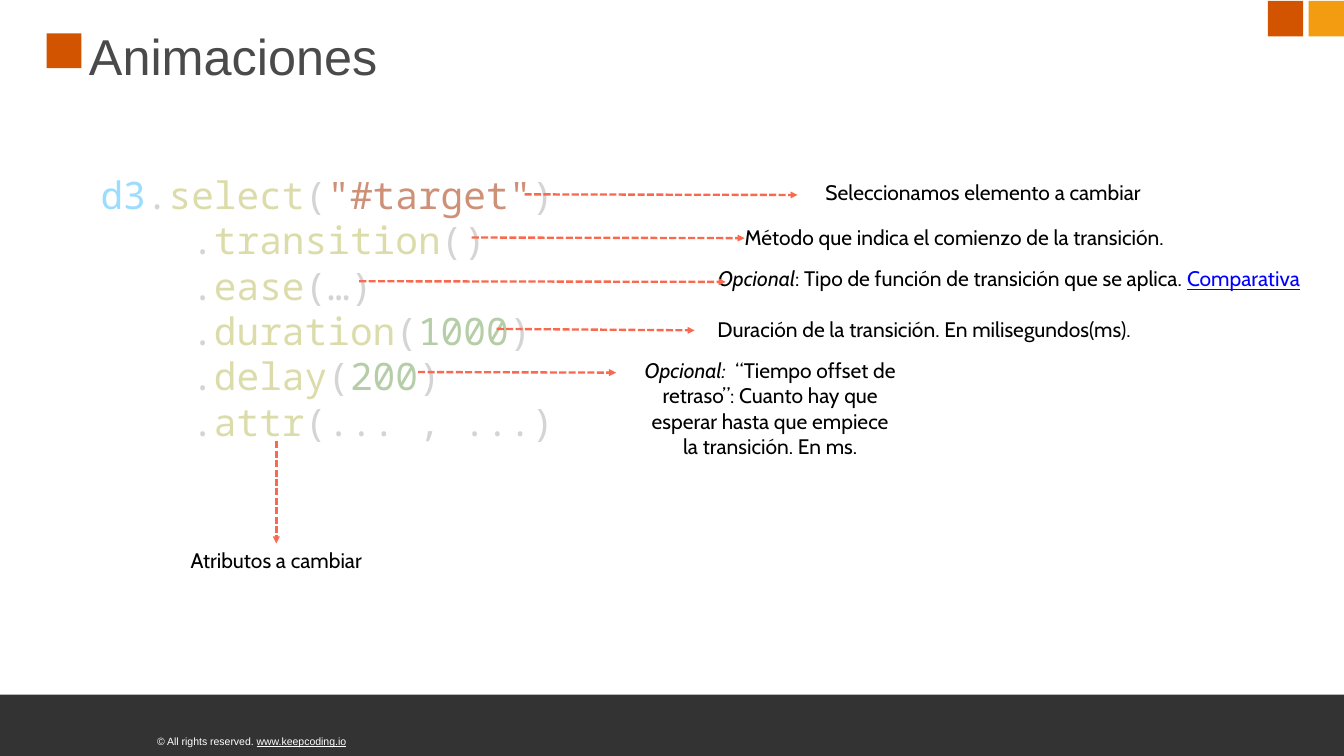
import pptx
import pptx.util
import pptx.dml.color
import pptx.enum.dml
import pptx.enum.shapes
import pptx.enum.text
import lxml.etree
import pptx.oxml.ns

Cm, Pt = pptx.util.Cm, pptx.util.Pt
RGB = pptx.dml.color.RGBColor
ALIGN = pptx.enum.text.PP_ALIGN
ANCHOR = pptx.enum.text.MSO_ANCHOR
NOFIT = pptx.enum.text.MSO_AUTO_SIZE.NONE

RUST = RGB(0xD3, 0x54, 0x00)
AMBER = RGB(0xF3, 0x9C, 0x12)
DARK = RGB(0x33, 0x33, 0x33)
GREY = RGB(0x4A, 0x4A, 0x4A)
CORAL = RGB(0xFA, 0x69, 0x4E)
BLACK = RGB(0, 0, 0)
WHITE = RGB(0xFF, 0xFF, 0xFF)
BLUE = RGB(0, 0, 0xFF)
NAME = RGB(0x9C, 0xDC, 0xFE)
PLAIN = RGB(0xD4, 0xD4, 0xD4)
CALL = RGB(0xDC, 0xDC, 0xAA)
QUOTE = RGB(0xCE, 0x91, 0x78)
NUM = RGB(0xB5, 0xCE, 0xA8)

# Content: a run is (text, format), a paragraph is a list of runs
TITLE = "Animaciones"
FOOT = [("© All rights reserved. ", {}), ("www.keepcoding.io", {"under": True})]

HEAD = [("d3", NAME), (".", PLAIN), ("select", CALL), ("(", PLAIN),
        ('"#target"', QUOTE), (")", PLAIN)]
CALLS = [  # method, then its arguments
    ("transition", [("()", PLAIN)]),
    ("ease", [("(…)", PLAIN)]),
    ("duration", [("(", PLAIN), ("1000", NUM), (")", PLAIN)]),
    ("delay", [("(", PLAIN), ("200", NUM), (")", PLAIN)]),
    ("attr", [("(... , ...)", PLAIN)]),
]

WIDE, ROW = 28.73, 1.14
ITAL, LINK = {"ital": True}, {"color": BLUE, "under": True}
NOTES = [  # runs, left, top, width, height, indent, arrow from, arrow to
    ([("Seleccionamos elemento a cambiar", {})],
     18.67, 5.87, WIDE, ROW, 0, (17.63, 6.53), (26.8, 6.55)),
    ([("Método que indica el comienzo de la transición.", {})],
     16.28, 7.39, WIDE, ROW, 2.84, (15.85, 7.98), (25.02, 8)),
    ([("Opcional", ITAL),
      (": Tipo de función de transición que se aplica. ", {}),
      ("Comparativa", LINK)],
     16.69, 8.79, WIDE, ROW, 5.7, (12.07, 9.45), (24.38, 9.47)),
    ([("Duración de la transición. En milisegundos(ms).", {})],
     16.69, 10.49, WIDE, ROW, 0, (16.69, 11.05), (23.34, 11.1)),
    ([("Opcional:  ", ITAL),
      ("“Tiempo offset de retraso”: Cuanto hay que esperar hasta que "
       "empiece la transición. En ms.", {})],
     21.46, 11.86, 8.84, 3.71, 0, (14.05, 12.5), (20.7, 12.52)),
    ([("Atributos a cambiar", {})],
     -5.08, 18.26, WIDE, ROW, 0, (9.28, 14.83), None),
]

BLOCKS = [  # left, top, width, height, colour
    (1.57, 1.12, 1.17, 1.17, RUST),
    (-0.15, 23.34, 45.42, 2.08, DARK),
    (42.6, 0.03, 1.19, 1.19, RUST),
    (43.97, 0.03, 1.19, 1.19, AMBER),
]

deck = pptx.Presentation()
deck.slide_width, deck.slide_height = Cm(45.16), Cm(25.4)
slide = deck.slides.add_slide(deck.slide_layouts[5])
shapes = slide.shapes


def write(box, paras, font="Cabin", size=20, color=BLACK, align=ALIGN.LEFT,
          anchor=ANCHOR.MIDDLE, indent=0, top=0.15, pitch=None):
    """Fill a box with paragraphs of formatted runs."""
    frame = box.text_frame
    frame.word_wrap, frame.auto_size = True, NOFIT
    frame.vertical_anchor = anchor
    frame.margin_left, frame.margin_top = Cm(0.15 + indent), Cm(top)
    frame.margin_right = frame.margin_bottom = Cm(0.15)
    for i, runs in enumerate(paras):
        para = frame.add_paragraph() if i else frame.paragraphs[0]
        para.alignment = align
        if pitch:
            para.line_spacing = Pt(pitch)
        for text, look in runs:
            run = para.add_run()
            run.text = text
            run.font.name, run.font.size = font, Pt(size)
            run.font.color.rgb = look.get("color", color)
            run.font.italic = look.get("ital", False)
            run.font.underline = look.get("under", False)


def textbox(left, top, width, height):
    return shapes.add_textbox(Cm(left), Cm(top), Cm(width), Cm(height))


def arrow(start, end):
    """Draw a dashed arrow between two points."""
    line = shapes.add_connector(pptx.enum.shapes.MSO_CONNECTOR.STRAIGHT,
                                *(Cm(v) for v in start + end))
    line.line.color.rgb, line.line.width = CORAL, Pt(2.25)
    line.line.dash_style = pptx.enum.dml.MSO_LINE.SQUARE_DOT
    qn = pptx.oxml.ns.qn
    props = line._element.spPr
    lxml.etree.SubElement(props.find(qn("a:ln")), qn("a:tailEnd"),
                          type="triangle")
    lxml.etree.SubElement(props, qn("a:effectLst"))
    return line


# Coloured blocks and footer
for left, top, width, height, color in BLOCKS:
    block = shapes.add_shape(pptx.enum.shapes.MSO_SHAPE.RECTANGLE,
                             Cm(left), Cm(top), Cm(width), Cm(height))
    block.shadow.inherit = False
    block.fill.solid()
    block.fill.fore_color.rgb = color
    block.line.fill.background()
write(textbox(5.13, 24.54, 20.24, 0.71), [FOOT],
      font="Arial", size=10, color=WHITE)

# Title
title = shapes.title
title.left, title.top = Cm(2.84), Cm(0.53)
title.width, title.height = Cm(38.71), Cm(2.69)
write(title, [[(TITLE, {})]], font="Arial", size=48, color=GREY)

# Code
lines = [HEAD] + [[("    .", PLAIN), (name, CALL)] + args
                  for name, args in CALLS]
code = [[(text, {"color": color}) for text, color in line] for line in lines]
write(textbox(3.23, 5.49, 38.71, 12.45), code, font="Noto Sans Mono",
      size=36, anchor=ANCHOR.TOP, top=0.28, pitch=43.2)

# Notes and their arrows
for runs, left, top, width, height, indent, start, end in NOTES:
    note = textbox(left, top, width, height)
    write(note, [runs], align=ALIGN.CENTER, indent=indent)
    if end:
        arrow(start, end)
    else:
        mid = left + width / 2
        arrow((mid, start[1]), (mid, top)).end_connect(note, 0)

deck.save("out.pptx")
